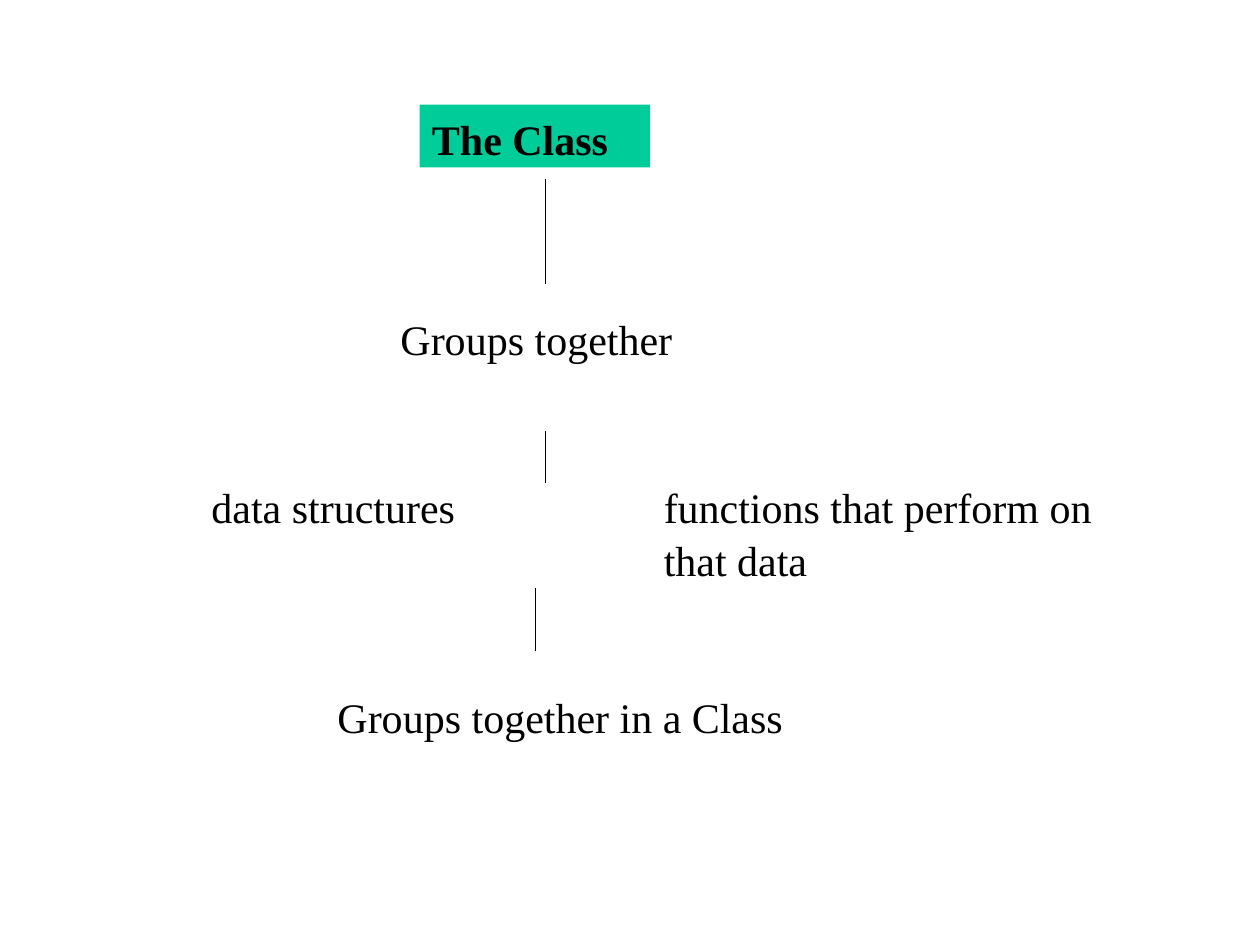
from pptx import Presentation
from pptx.dml.color import RGBColor
from pptx.enum.shapes import MSO_CONNECTOR, MSO_SHAPE
from pptx.enum.text import MSO_ANCHOR, PP_ALIGN
from pptx.oxml.ns import qn
from pptx.util import Inches, Pt
from lxml import etree

BLACK = "000000"
GREEN = "00CC99"
TEXT_FONT = {"name": "Times New Roman", "size": Pt(24)}


def color(hex_value):
    return RGBColor.from_string(hex_value)


def write_text(shape, text, bold=False):
    frame = shape.text_frame
    frame.word_wrap = True
    frame.vertical_anchor = MSO_ANCHOR.TOP
    paragraph = frame.paragraphs[0]
    paragraph.text = text
    paragraph.alignment = PP_ALIGN.LEFT
    paragraph.line_spacing = 1.05
    font = paragraph.runs[0].font
    for attribute, value in {**TEXT_FONT, "bold": bold}.items():
        setattr(font, attribute, value)
    font.color.rgb = color(BLACK)


def add_class_heading(slide, text, box):
    heading = slide.shapes.add_shape(MSO_SHAPE.RECTANGLE, *map(Inches, box))
    heading.shadow.inherit = False
    heading.fill.solid()
    heading.fill.fore_color.rgb = color(GREEN)
    heading.line.fill.background()
    write_text(heading, text, bold=True)


def add_label(slide, text, box):
    write_text(slide.shapes.add_textbox(*map(Inches, box)), text)


def add_vertical_link(slide, x, top, bottom):
    link = slide.shapes.add_connector(
        MSO_CONNECTOR.STRAIGHT, Inches(x), Inches(top), Inches(x), Inches(bottom))
    link.line.color.rgb = color(BLACK)
    link.line.width = Pt(0.75)
    etree.SubElement(link._element.spPr, qn("a:effectLst"))


def build_class_slide(slide):
    add_class_heading(slide, "The Class", (3.33, 0.83, 1.83, 0.5))
    labels = {
        "Groups together": (3.08, 2.42, 3, 0.5),
        "data structures": (1.58, 3.75, 2.25, 0.5),
        "functions that perform on that data": (5.17, 3.75, 3.67, 0.9),
        "Groups together in a Class": (2.58, 5.42, 4.33, 0.5),
    }
    for text, box in labels.items():
        add_label(slide, text, box)
    for x, top, bottom in ((4.33, 1.42, 2.25), (4.33, 3.42, 3.83), (4.25, 4.67, 5.17)):
        add_vertical_link(slide, x, top, bottom)


def main():
    deck = Presentation()
    deck.slide_width = Inches(10)
    deck.slide_height = Inches(7.5)
    build_class_slide(deck.slides.add_slide(deck.slide_layouts[6]))
    deck.save("out.pptx")


if __name__ == "__main__":
    main()
